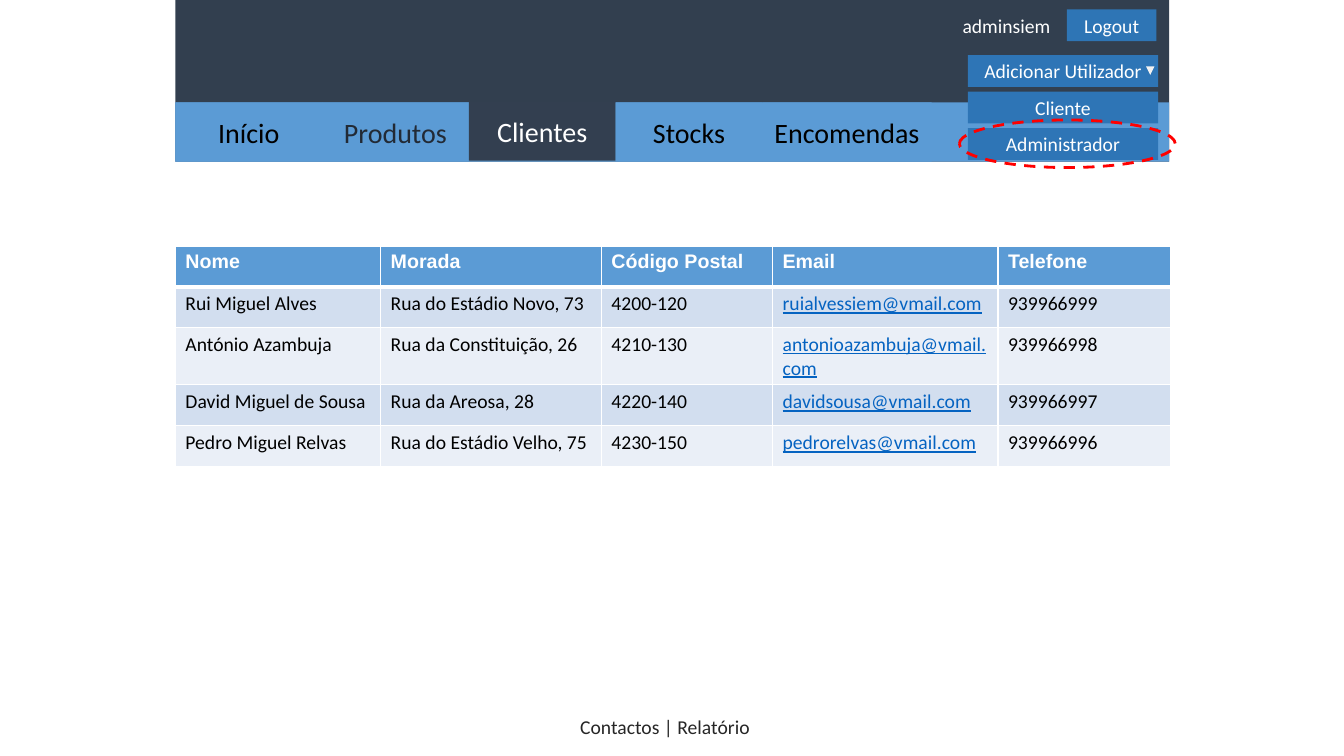
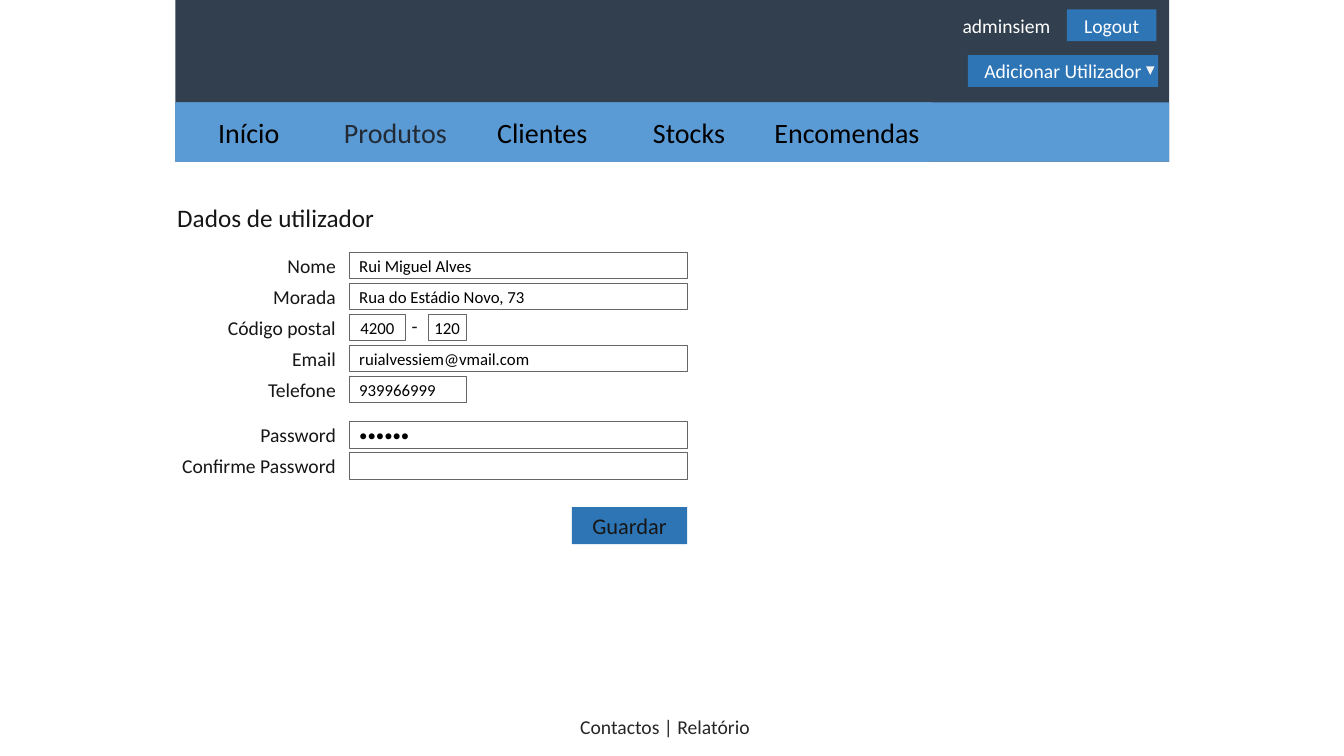
from collections import namedtuple

from lxml import etree
from pptx import Presentation
from pptx.dml.color import RGBColor
from pptx.enum.dml import MSO_LINE
from pptx.enum.shapes import MSO_SHAPE as Preset
from pptx.enum.text import MSO_ANCHOR as Anchor, PP_ALIGN as Align
from pptx.oxml.ns import qn
from pptx.util import Pt

# Colours
WHITE = RGBColor(0xFF, 0xFF, 0xFF)
BLACK = RGBColor(0x00, 0x00, 0x00)
BANNER = RGBColor(0x32, 0x3F, 0x4F)
NAV_BLUE = RGBColor(0x5B, 0x9B, 0xD5)
ACTIVE_TAB = RGBColor(0x33, 0x3F, 0x50)
MUTED_TAB = RGBColor(0x22, 0x2A, 0x35)
BUTTON = RGBColor(0x2E, 0x75, 0xB5)
MENU = RGBColor(0x2E, 0x75, 0xB6)
ARROW = RGBColor(0xF2, 0xF2, 0xF2)
HIGHLIGHT = RGBColor(0xFF, 0x00, 0x00)
ROW_DARK = RGBColor(0xD2, 0xDE, 0xEF)
ROW_LIGHT = RGBColor(0xEA, 0xEF, 0xF7)
LINK = RGBColor(0x05, 0x63, 0xC1)
INK = RGBColor(0x17, 0x16, 0x16)
FOOTER_INK = RGBColor(0x26, 0x26, 0x26)
FIELD_EDGE = RGBColor(0x66, 0x66, 0x66)

# Regions, in points
Box = namedtuple("Box", "left top width height")
HEADER = Box(125.3, 0, 709.8, 115.5)
CLIENTS = Box(125.3, 175.7, 710.6, 146)
FORM = Box(119.5, 144, 371.3, 244.8)
FOOTER = Box(386, 507, 178, 23)

BODY_FONT, HEAD_FONT = "Calibri", "Arial"
NAV_HEIGHT = 42.3
TABS = [("Início", 104.8, BLACK), ("Produtos", 104.8, MUTED_TAB),
        ("Clientes", 104.8, BLACK), ("Stocks", 104.8, BLACK),
        ("Encomendas", 121, BLACK)]
MENU_WIDTH, MENU_PITCH, BUTTON_HEIGHT = 136, 26.1, 22.7

CLIENT_COLUMNS = [("Nome", 146.6), ("Morada", 157.7), ("Código Postal", 122.3),
                  ("Email", 161), ("Telefone", 123)]
CLIENT_ROWS = [
    ("Rui Miguel Alves", "Rua do Estádio Novo, 73", "4200-120",
     "ruialvessiem@vmail.com", "939966999"),
    ("António Azambuja", "Rua da Constituição, 26", "4210-130",
     "antonioazambuja@vmail.com", "939966998"),
    ("David Miguel de Sousa", "Rua da Areosa, 28", "4220-140",
     "davidsousa@vmail.com", "939966997"),
    ("Pedro Miguel Relvas", "Rua do Estádio Velho, 75", "4230-150",
     "pedrorelvas@vmail.com", "939966996"),
]
ROW_HEIGHT = 29.2
EMAIL_COLUMN = 3

FIELD_WIDTH, FIELD_HEIGHT, FIELD_PITCH = 241.3, 18.9, 22.1
GROUP_GAP = 10.6
# Each field: label, then its boxes as (offset, width, value)
FIELD_GROUPS = [
    [("Nome", [(0, FIELD_WIDTH, "Rui Miguel Alves")]),
     ("Morada", [(0, FIELD_WIDTH, "Rua do Estádio Novo, 73")]),
     ("Código postal", [(0, 40, "4200"), (56.4, 27.2, "120")]),
     ("Email", [(0, FIELD_WIDTH, "ruialvessiem@vmail.com")]),
     ("Telefone", [(0, 83.6, "939966999")])],
    [("Password", [(0, FIELD_WIDTH, "••••••")]),
     ("Confirme Password", [(0, FIELD_WIDTH, "")])],
]


def style_paragraph(paragraph, size, color, align=Align.LEFT, font=BODY_FONT):
    paragraph.alignment = align
    for run in paragraph.runs:
        run.font.name = font
        run.font.size = Pt(size)
        run.font.color.rgb = color


def write(shape, text, size, color, align, inset=7.2, anchor=Anchor.MIDDLE):
    frame = shape.text_frame
    frame.word_wrap = True
    frame.vertical_anchor = anchor
    frame.margin_left = frame.margin_right = Pt(inset)
    frame.margin_top = frame.margin_bottom = Pt(3.6)
    frame.text = text
    style_paragraph(frame.paragraphs[0], size, color, align)


def add_label(slide, box, text, size, color, align=Align.LEFT, **layout):
    label = slide.shapes.add_textbox(*map(Pt, box))
    write(label, text, size, color, align, **layout)


def add_block(slide, box, fill=None, line=None, line_width=0.75, preset=Preset.RECTANGLE):
    block = slide.shapes.add_shape(preset, *map(Pt, box))
    block.shadow.inherit = False
    if fill is None:
        block.fill.background()
    else:
        block.fill.solid()
        block.fill.fore_color.rgb = fill
    if line is None:
        block.line.fill.background()
    else:
        block.line.color.rgb = line
        block.line.width = Pt(line_width)
    return block


def add_button(slide, box, text, size=14, fill=MENU, color=WHITE):
    write(add_block(slide, box, fill), text, size, color, Align.CENTER)


def add_header(slide, box, active=None, menu_items=()):
    right = box.left + box.width
    nav_top = box.top + box.height - NAV_HEIGHT
    add_block(slide, box, BANNER)
    add_block(slide, Box(box.left, nav_top, box.width, NAV_HEIGHT), NAV_BLUE)

    # Tabs
    left = box.left
    for name, width, color in TABS:
        is_active = name == active
        add_button(slide, Box(left, nav_top - 0.7 * is_active, width, NAV_HEIGHT), name, 20,
                   ACTIVE_TAB if is_active else NAV_BLUE, WHITE if is_active else color)
        left += width

    # Session
    session_top = box.top + 6.7
    add_label(slide, Box(right - 222.4, session_top, 144.7, BUTTON_HEIGHT),
              "adminsiem", 14, WHITE, Align.RIGHT)
    add_button(slide, Box(right - 73, session_top, 64, BUTTON_HEIGHT), "Logout", fill=BUTTON)

    # User menu
    menu_left, menu_top = right - 143.8, box.top + 39.3
    for index, item in enumerate(["Adicionar Utilizador", *menu_items]):
        add_button(slide, Box(menu_left, menu_top + index * MENU_PITCH,
                              MENU_WIDTH, BUTTON_HEIGHT), item)
    arrow = add_block(slide, Box(right - 16.5, menu_top + 8.2, 6, 6), ARROW,
                      preset=Preset.ISOSCELES_TRIANGLE)
    arrow.rotation = 180

    # Ring around the last menu item
    if menu_items:
        last_top = menu_top + len(menu_items) * MENU_PITCH
        ring = add_block(slide, Box(menu_left - 6, last_top - 5.8, 154.2, 34),
                         line=HIGHLIGHT, line_width=2, preset=Preset.OVAL)
        ring.line.dash_style = MSO_LINE.DASH


def add_footer(slide, box):
    add_label(slide, box, "Contactos | Relatório", 14, FOOTER_INK, Align.CENTER,
              anchor=Anchor.TOP)


def add_borders(cell, bottom_width):
    properties = cell._tc.get_or_add_tcPr()
    for side, width in [("L", 1), ("R", 1), ("T", 1), ("B", bottom_width)]:
        edge = etree.SubElement(properties, qn(f"a:ln{side}"), w=str(Pt(width)))
        fill = etree.SubElement(edge, qn("a:solidFill"))
        etree.SubElement(fill, qn("a:srgbClr"), val=str(WHITE))


def add_clients_table(slide, box):
    rows = [[name for name, _ in CLIENT_COLUMNS], *CLIENT_ROWS]
    table = slide.shapes.add_table(len(rows), len(CLIENT_COLUMNS), *map(Pt, box)).table
    for column, (_, width) in zip(table.columns, CLIENT_COLUMNS):
        column.width = Pt(width)
    for row_index, values in enumerate(rows):
        table.rows[row_index].height = Pt(ROW_HEIGHT)
        is_head = row_index == 0
        fill = NAV_BLUE if is_head else ROW_DARK if row_index % 2 else ROW_LIGHT
        for column_index, value in enumerate(values):
            is_email = column_index == EMAIL_COLUMN and not is_head
            cell = table.cell(row_index, column_index)
            add_borders(cell, 3 if is_head else 1)
            cell.fill.solid()
            cell.fill.fore_color.rgb = fill
            cell.text_frame.text = value
            paragraph = cell.text_frame.paragraphs[0]
            style_paragraph(paragraph, 14, WHITE if is_head else LINK if is_email else BLACK,
                            font=HEAD_FONT if is_head else BODY_FONT)
            paragraph.runs[0].font.bold = is_head
            paragraph.runs[0].font.underline = is_email


def add_field(slide, left, top, width, value):
    field = add_block(slide, Box(left, top, width, FIELD_HEIGHT), line=FIELD_EDGE)
    is_short = width <= 40
    if value:
        write(field, value, 12, BLACK, Align.CENTER if is_short else Align.LEFT,
              inset=2.9 if is_short else 7.2)


def add_user_form(slide, box):
    right = box.left + box.width
    field_left = right - FIELD_WIDTH
    add_label(slide, Box(box.left, box.top, 166.3, 23), "Dados de utilizador", 18, INK)

    # Labelled fields
    top = box.top + 36.2
    for group in FIELD_GROUPS:
        for name, parts in group:
            add_label(slide, Box(box.left, top, 127.5, FIELD_HEIGHT), name, 14, INK, Align.RIGHT)
            for offset, width, value in parts:
                add_field(slide, field_left + offset, top, width, value)
            if len(parts) > 1:
                dash_left, dash_width = field_left + parts[0][1], 13.5
                add_label(slide, Box(dash_left, top - 1.4, dash_width, FIELD_HEIGHT),
                          "-", 14, INK, Align.CENTER, inset=0)
            top += FIELD_PITCH
        top += GROUP_GAP

    # Save button
    add_button(slide, Box(right - 82.3, box.top + box.height - 26.6, 82.3, 26.6),
               "Guardar", 16, BUTTON, INK)


def build_clients_slide(slide):
    add_header(slide, HEADER, "Clientes", ["Cliente", "Administrador"])
    add_clients_table(slide, CLIENTS)
    add_footer(slide, FOOTER)


def build_user_slide(slide):
    add_header(slide, HEADER)
    add_user_form(slide, FORM)
    add_footer(slide, FOOTER)


def main():
    deck = Presentation()
    deck.slide_width, deck.slide_height = Pt(960), Pt(540)
    blank = deck.slide_layouts[6]
    for build in (build_clients_slide, build_user_slide):
        build(deck.slides.add_slide(blank))
    deck.save("out.pptx")


if __name__ == "__main__":
    main()
